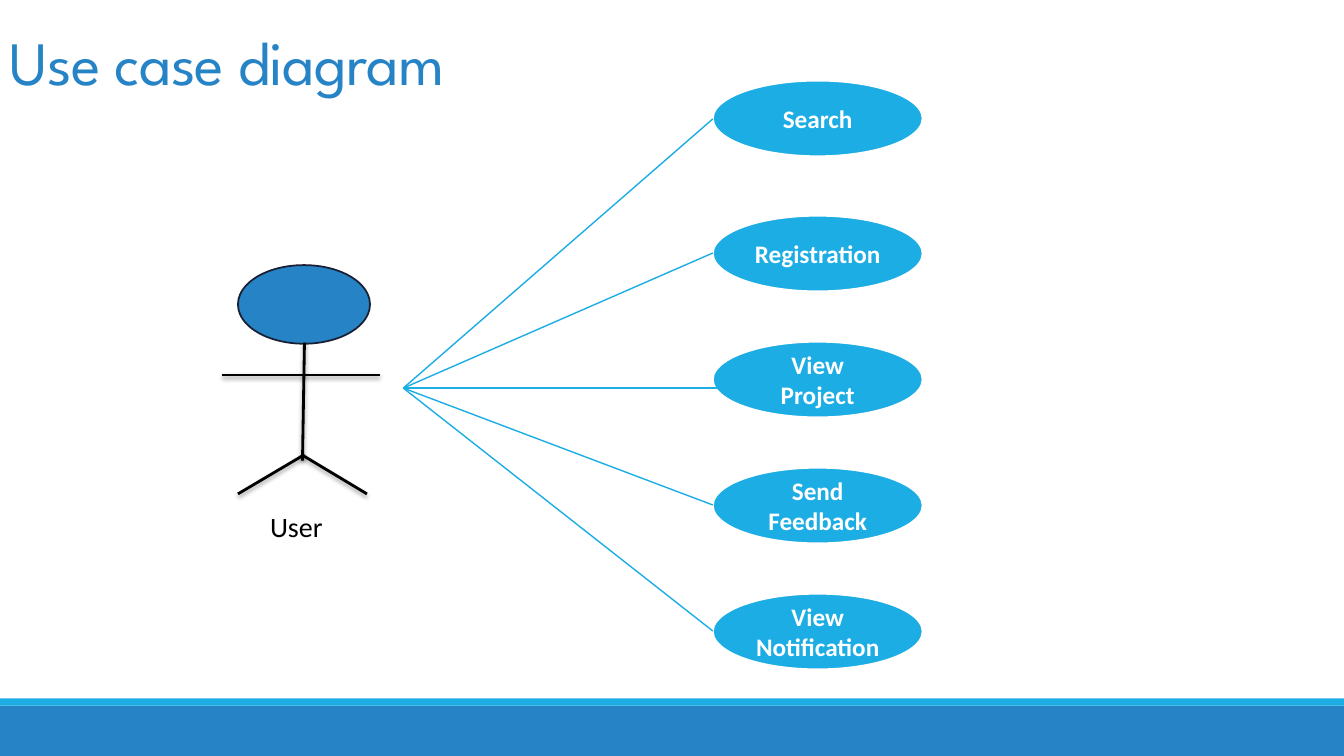
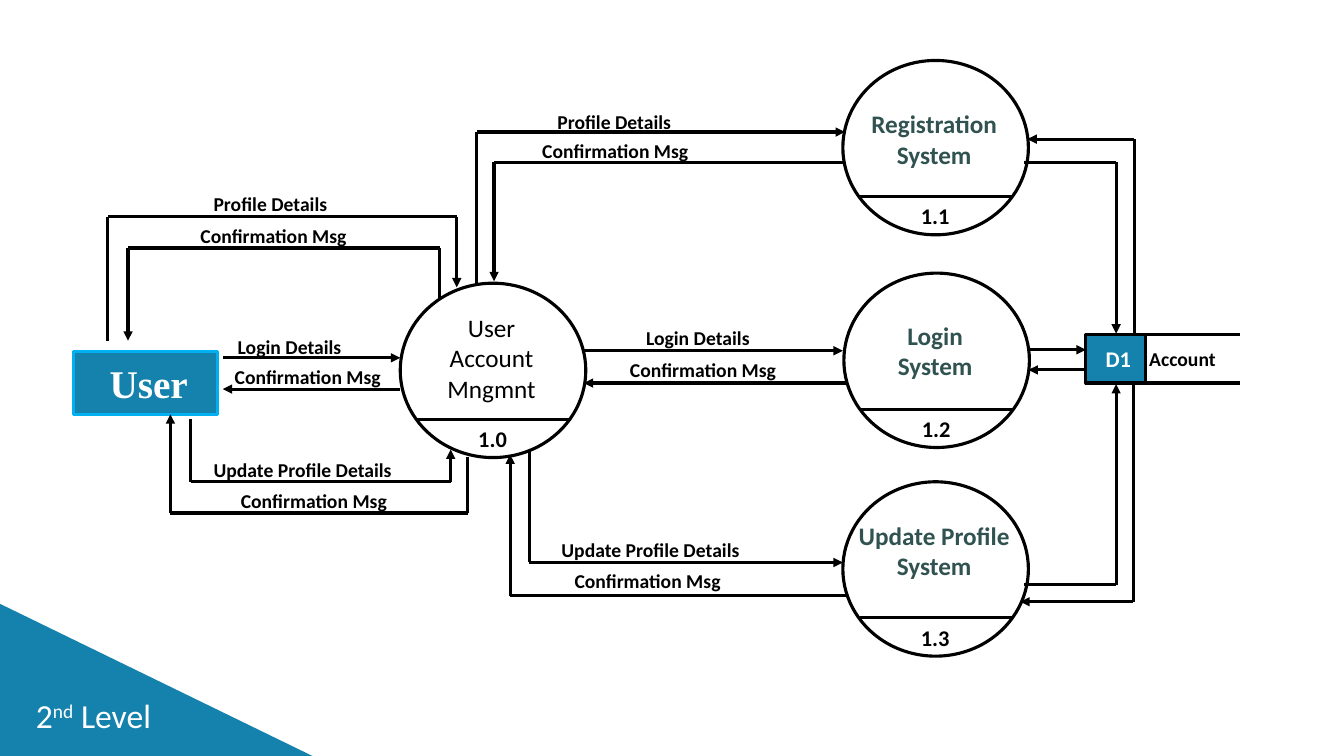
"""Build a use case diagram and a second-level data flow diagram."""
from dataclasses import dataclass
from itertools import pairwise

from lxml.etree import SubElement
from pptx import Presentation
from pptx.dml.color import RGBColor
from pptx.enum.shapes import MSO_CONNECTOR as Connector, MSO_SHAPE as Shape
from pptx.enum.text import MSO_ANCHOR as Anchor, PP_ALIGN as Align
from pptx.oxml.ns import qn
from pptx.util import Inches, Pt


@dataclass(frozen=True)
class Theme:
    columns: float = 13.33
    rows: float = 7.5
    cell: int = Inches(1)
    blue: str = "2683C6"
    sky: str = "1CADE4"
    teal: str = "1482AC"
    cyan: str = "00B0F0"
    navy: str = "1A2034"
    green: str = "305250"
    black: str = "000000"
    white: str = "FFFFFF"
    body_font: str = "Calibri"
    title_font: str = "League Spartan"
    serif_font: str = "Times New Roman"
    title: int = 44
    entity: int = 28
    level: int = 24
    actor: int = 20
    body: int = 18
    number: int = 16
    label: int = 14
    flow_line: float = 2.25


theme = Theme()


class Board:
    def __init__(self):
        self.deck = Presentation()
        self.deck.slide_width = self.grid(theme.columns)
        self.deck.slide_height = self.grid(theme.rows)
        self.page = None

    def grid(self, cells):
        return round(cells * theme.cell)

    def color(self, value):
        return RGBColor.from_string(value)

    def new_page(self):
        self.page = self.deck.slides.add_slide(self.deck.slide_layouts[6])

    def bands(self):
        self.shape(Shape.RECTANGLE, 0, 7, theme.columns, 0.5, theme.blue)
        self.shape(Shape.RECTANGLE, 0, 6.93, theme.columns, 0.07, theme.sky)

    def title(self, words):
        box = self.text(words, 0, 0.3, 5.97, 0.89, size=theme.title,
                        color=theme.blue, font=theme.title_font)
        para = box.text_frame.paragraphs[0]
        para.line_spacing = 0.85
        para.runs[0]._r.get_or_add_rPr().set("spc", "-50")

    def shape(self, kind, left, top, width, height, fill=None, line=None, weight=1.25):
        shape = self.page.shapes.add_shape(
            kind, *map(self.grid, (left, top, width, height)))
        shape.shadow.inherit = False
        if fill:
            shape.fill.solid()
            shape.fill.fore_color.rgb = self.color(fill)
        else:
            shape.fill.background()
        if line:
            shape.line.color.rgb = self.color(line)
            shape.line.width = Pt(weight)
        else:
            shape.line.fill.background()
        return shape

    def set_text(self, shape, words, size=theme.body, color=theme.black, bold=False,
                 font=theme.body_font, align=Align.LEFT, anchor=Anchor.TOP, indent=0.1):
        frame = shape.text_frame
        frame.word_wrap = True
        frame.vertical_anchor = anchor
        frame.margin_left = self.grid(indent)
        frame.text = words
        for para in frame.paragraphs:
            para.alignment = align
            para.font.size = Pt(size)
            para.font.name = font
            para.font.bold = bold
            para.font.color.rgb = self.color(color)
        return shape

    def text(self, words, left, top, width, height, **style):
        box = self.page.shapes.add_textbox(
            *map(self.grid, (left, top, width, height)))
        return self.set_text(box, words, **style)

    def badge(self, kind, words, left, top, width, height, fill, line, weight, **style):
        shape = self.shape(kind, left, top, width, height, fill, line, weight)
        return self.set_text(shape, words, color=theme.white, bold=True,
                             align=Align.CENTER, anchor=Anchor.MIDDLE, **style)

    def line(self, start, end, color=theme.black, weight=theme.flow_line,
             arrow=False, shadow=False):
        line = self.page.shapes.add_connector(
            Connector.STRAIGHT, *map(self.grid, (*start, *end)))
        line.line.color.rgb = self.color(color)
        line.line.width = Pt(weight)
        properties = line._element.spPr
        if arrow:
            SubElement(properties.find(qn("a:ln")), qn("a:tailEnd"), type="triangle")
        effects = SubElement(properties, qn("a:effectLst"))
        if shadow:
            outer = SubElement(effects, qn("a:outerShdw"), blurRad=str(Pt(3.1)),
                               dist=str(Pt(1.8)), dir="5400000", rotWithShape="0")
            tint = SubElement(outer, qn("a:srgbClr"), val=theme.black)
            SubElement(tint, qn("a:alpha"), val="35000")

    def flow(self, *points):
        legs = list(pairwise(points))
        for index, (start, end) in enumerate(legs, 1):
            self.line(start, end, arrow=index == len(legs))

    def process(self, left, top, words, number, drop, color=theme.green, bold=True):
        self.shape(Shape.OVAL, left, top, 1.84, 1.73,
                   line=theme.black, weight=theme.flow_line)
        self.text(words, left + 0.03, top + drop, 1.75, 0.71,
                  color=color, bold=bold, align=Align.CENTER)
        self.line((left + 0.17, top + 1.35), (left + 1.69, top + 1.35))
        self.text(number, left + 0.37, top + 1.36, 1.09, 0.37,
                  size=theme.number, bold=True, align=Align.CENTER)

    def corner(self, number, suffix, word):
        shape = self.shape(Shape.RIGHT_TRIANGLE, 0, 5.99, 3.1, 1.51, theme.teal)
        self.set_text(shape, number, size=theme.level, color=theme.white,
                      anchor=Anchor.MIDDLE)
        para = shape.text_frame.paragraphs[0]
        para.line_spacing = 0.9
        para.space_before = Pt(10)
        span = para.add_run()
        span.text = suffix
        span._r.get_or_add_rPr().set("baseline", "30000")
        para.add_run().text = word


USE_CASES = [
    ("Search", 0.8, (7.07, 1.18)),
    ("Registration", 2.14, (7.07, 2.51)),
    ("View Project", 3.39, (7.17, 3.85)),
    ("Send Feedback", 4.64, (7.07, 5.01)),
    ("View Notification", 5.89, (7.07, 6.26)),
]
ACTOR_LIMBS = [
    ((3.02, 3.4), (3, 4.57)),
    ((3.02, 4.51), (2.36, 4.9)),
    ((2.99, 4.51), (3.64, 4.9)),
    ((2.2, 3.72), (3.77, 3.72)),
]
PROCESSES = [
    (8.37, 2.71, "Login\nSystem", "1.2", 0.42),
    (8.36, 0.6, "Registration System", "1.1", 0.43),
    (8.36, 4.78, "Update Profile System", "1.3", 0.33),
]
PROFILE, LOGIN = "Profile Details", "Login Details"
UPDATE, CONFIRM = "Update Profile Details", "Confirmation Msg"
LABELED_FLOWS = [
    (PROFILE, 2.02, 1.86, [(1.07, 3.38), (1.07, 2.15), (4.53, 2.15), (4.53, 2.85)]),
    (CONFIRM, 1.89, 2.17, [(4.36, 2.96), (4.36, 2.46), (1.27, 2.46), (1.27, 3.38)]),
    (LOGIN, 2.26, 3.27, [(2.21, 3.55), (3.97, 3.55)]),
    (CONFIRM, 2.23, 3.57, [(3.97, 3.86), (2.21, 3.86)]),
    (UPDATE, 2.02, 4.49, [(1.89, 4.16), (1.89, 4.78), (4.47, 4.78), (4.47, 4.46)]),
    (CONFIRM, 2.29, 4.8, [(4.64, 4.53), (4.64, 5.09), (1.69, 5.09), (1.69, 4.11)]),
    (PROFILE, 5.43, 1.04, [(4.73, 2.81), (4.73, 1.31), (8.38, 1.31)]),
    (CONFIRM, 5.28, 1.33, [(8.36, 1.61), (4.9, 1.61), (4.9, 2.79)]),
    (LOGIN, 6.31, 3.18, [(5.79, 3.48), (8.36, 3.48)]),
    (CONFIRM, 6.15, 3.5, [(8.4, 3.8), (5.79, 3.8)]),
    (UPDATE, 5.47, 5.29, [(5.25, 4.47), (5.25, 5.58), (8.36, 5.58)]),
    (CONFIRM, 5.6, 5.59, [(8.4, 5.91), (5.06, 5.91), (5.06, 4.51)]),
]
STORE_FLOWS = [
    [(10.2, 3.47), (10.77, 3.47)],
    [(10.77, 3.67), (10.2, 3.67)],
    [(11.25, 3.32), (11.25, 1.38), (10.19, 1.38)],
    [(10.16, 1.61), (11.07, 1.61), (11.07, 3.31)],
    [(11.24, 3.8), (11.24, 5.97), (10.12, 5.97)],
    [(10.16, 5.8), (11.07, 5.8), (11.07, 3.81)],
]


def use_case_page(board):
    board.new_page()
    board.bands()
    board.title("Use case diagram")
    for words, top, target in USE_CASES:
        board.badge(Shape.OVAL, words, 7.07, top, 2.08, 0.75,
                    theme.sky, theme.white, 1.25)
        board.line((4, 3.85), target, theme.sky, 1)
    board.shape(Shape.OVAL, 2.36, 2.63, 1.31, 0.78, theme.blue, theme.navy)
    for start, end in ACTOR_LIMBS:
        board.line(start, end, weight=2, shadow=True)
    board.text("User", 2.58, 5.01, 1.93, 0.44, size=theme.actor)


def data_flow_page(board):
    board.new_page()
    board.badge(Shape.RECTANGLE, "User", 0.73, 3.49, 1.43, 0.62, theme.teal,
                theme.cyan, theme.flow_line, size=theme.entity,
                font=theme.serif_font, indent=0.16)
    board.process(3.97, 2.81, "User\nAccount\nMngmnt", "1.0", 0.24, theme.black, False)
    for process in PROCESSES:
        board.process(*process)
    for words, left, top, points in LABELED_FLOWS:
        board.flow(*points)
        board.text(words, left, top, 2.24, 0.34, size=theme.label, bold=True)
    for edge in (3.32, 3.8):
        board.line((10.77, edge), (12.3, edge))
    board.badge(Shape.RECTANGLE, "D1", 10.77, 3.32, 0.59, 0.48, theme.teal,
                theme.black, theme.flow_line, size=theme.number, indent=0.15)
    board.text("Account", 11.3, 3.39, 1.17, 0.34, size=theme.label, bold=True)
    for points in STORE_FLOWS:
        board.flow(*points)
    board.corner("2", "nd", " Level")


board = Board()
use_case_page(board)
data_flow_page(board)
board.deck.save("out.pptx")
